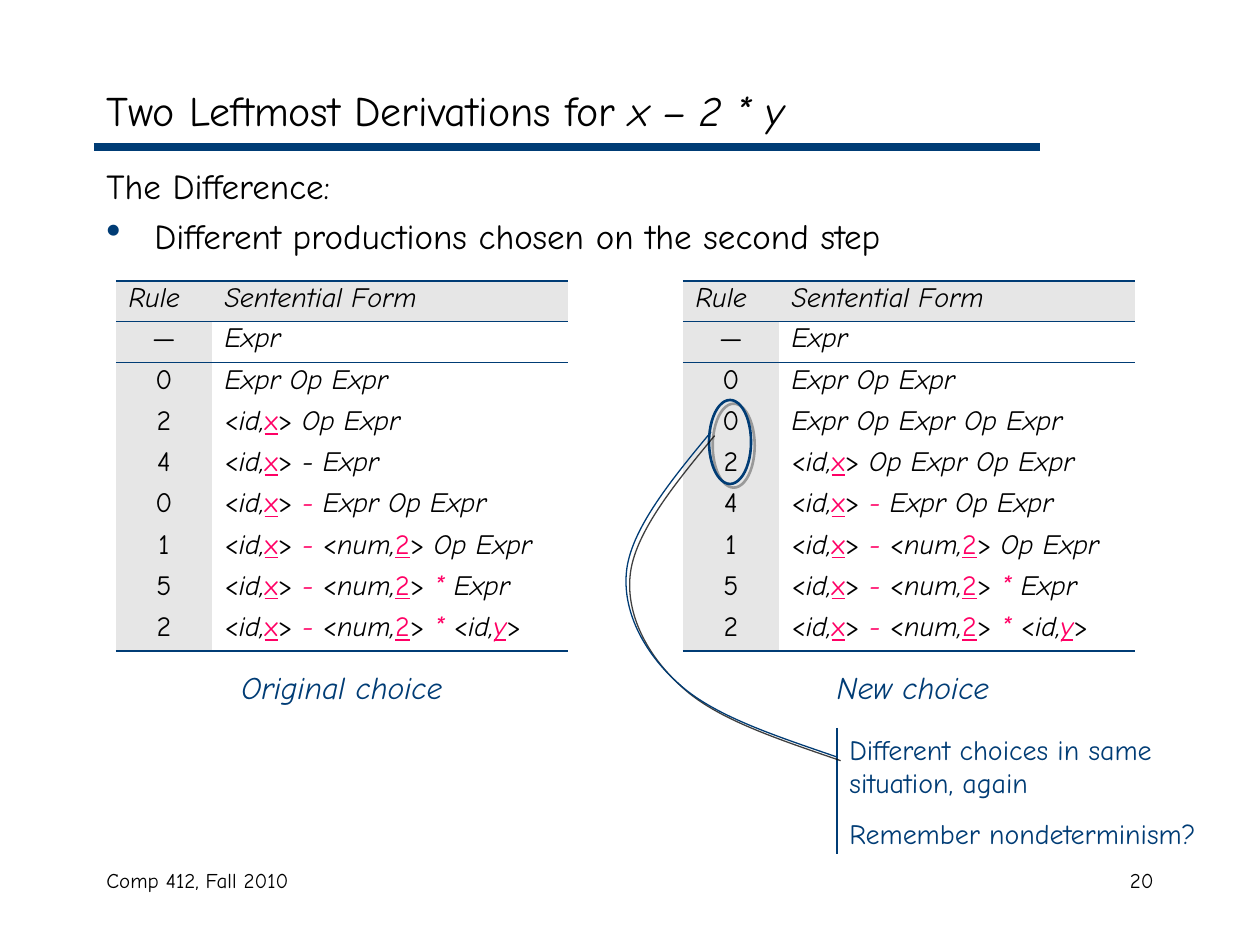
"""Build the slide comparing two leftmost derivations of x - 2 * y."""
import lxml.etree
import pptx
import pptx.dml.color
import pptx.enum.shapes
import pptx.enum.text
import pptx.oxml.ns
import pptx.util

FONT = "Comic Neue"
NAVY = pptx.dml.color.RGBColor(0x00, 0x3C, 0x75)
BLACK = pptx.dml.color.RGBColor(0x00, 0x00, 0x00)
RED = pptx.dml.color.RGBColor(0xFF, 0x00, 0x65)
PALE = pptx.dml.color.RGBColor(0xE6, 0xE6, 0xE6)
GRAY = pptx.dml.color.RGBColor(0x80, 0x80, 0x80)
LEFT, CENTER, RIGHT = (pptx.enum.text.PP_ALIGN.LEFT, pptx.enum.text.PP_ALIGN.CENTER,
                       pptx.enum.text.PP_ALIGN.RIGHT)
NO_TABLE_STYLE = "{2D5ABB26-0587-4C30-8999-92F81FD0307C}"

TITLE = ("Two Leftmost Derivations for ", "x – 2 * y")
DIFFERENCE = ["The Difference:", "Different productions chosen on the second step"]
HEADER = ("Rule", "Sentential Form")
ID_X = "<|id,|x"
NUM_2 = "<|num,|2"
X_MINUS_2 = f"{ID_X}|> |- |{NUM_2}"
START = [("—", "Expr"), ("0", "Expr Op Expr")]
ENDING = [
    ("1", f"{X_MINUS_2}|>| Op Expr"),
    ("5", f"{X_MINUS_2}|> |*| Expr"),
    ("2", f"{X_MINUS_2}|> |* |<|id,|y|>"),
]
X_MINUS_EXPR = f"{ID_X}|> |-| Expr Op Expr"
DERIVATIONS = [
    (116, 132, "Original choice", START + [
        ("2", f"{ID_X}|>| Op Expr"),
        ("4", f"{ID_X}|>| - Expr"),
        ("0", X_MINUS_EXPR)] + ENDING),
    (683, 703, "New choice", START + [
        ("0", "Expr Op Expr Op Expr"),
        ("2", f"{ID_X}|>| Op Expr Op Expr"),
        ("4", X_MINUS_EXPR)] + ENDING),
]
CALLOUT = ["Different choices in same situation, again", "Remember nondeterminism?"]
CURVE = [(837, 757), (776, 736), (714, 716), (679, 684), (644, 653), (621, 610),
         (627, 568), (633, 527), (672, 479), (711, 432)]
FOOTERS = [("Comp 412, Fall 2010", (94, 861, 400, 63), LEFT),
           ("20", (903, 861, 263, 63), RIGHT)]

TABLE_TOP, COLUMN_WIDTHS, HEADER_HEIGHT, BODY_HEIGHT = 281, (96, 356), 40, 330


def px(length):
    return round(length * 914400 / 126)


def add_xml(parent, tag, **attributes):
    return lxml.etree.SubElement(parent, pptx.oxml.ns.qn(tag), attributes)


def style(font, size, color, italic=False, underline=False):
    font.name = FONT
    font.size = pptx.util.Pt(size)
    font.color.rgb = color
    font.italic = italic
    font.underline = underline


def add_text(container, lines, box, size, color=BLACK, align=LEFT, italic=False, gap=0):
    frame = container.add_textbox(*map(px, box)).text_frame
    frame.word_wrap = True
    frame.text = "\n".join(lines)
    for index, paragraph in enumerate(frame.paragraphs):
        paragraph.alignment = align
        if index:
            paragraph.space_before = pptx.util.Pt(gap)
        for run in paragraph.runs:
            style(run.font, size, color, italic)
    return frame


def add_line(container, start, end, width):
    line = container.add_connector(pptx.enum.shapes.MSO_CONNECTOR.STRAIGHT,
                                   *map(px, start + end))
    line.line.color.rgb = NAVY
    line.line.width = pptx.util.Pt(width)
    add_xml(line._element.spPr, "a:effectLst")


def outline_with_shadow(shape, width, shadow_color):
    shape.fill.background()
    shape.line.color.rgb = NAVY
    shape.line.width = pptx.util.Pt(width)
    shape.shadow.inherit = False
    effects = shape._element.spPr.find(pptx.oxml.ns.qn("a:effectLst"))
    shadow = add_xml(effects, "a:outerShdw", blurRad="0", dist="38100", dir="2700000",
                     algn="ctr", rotWithShape="0")
    add_xml(add_xml(shadow, "a:srgbClr", val=str(shadow_color)), "a:alpha", val="75000")


def add_border(cell, side, width):
    border = add_xml(cell._tc.get_or_add_tcPr(), side, w=str(pptx.util.Pt(width)))
    add_xml(add_xml(border, "a:solidFill"), "a:srgbClr", val=str(NAVY))


def fill_form(paragraph, form):
    for piece in form.split("|"):
        symbol = piece.strip()
        run = paragraph.add_run()
        run.text = piece
        terminal = symbol in ("x", "2", "y")
        style(run.font, 16, RED if terminal or symbol in ("-", "*") else BLACK,
              italic=symbol not in ("<", ">", "x", "2"), underline=terminal)


def add_derivation(shapes, left, steps):
    rows = [HEADER] + steps
    last = len(steps)
    table = shapes.add_table(len(rows), 2, px(left), px(TABLE_TOP), px(sum(COLUMN_WIDTHS)),
                             px(HEADER_HEIGHT + BODY_HEIGHT)).table
    table.first_row = table.horz_banding = False
    table._tbl.tblPr.find(pptx.oxml.ns.qn("a:tableStyleId")).text = NO_TABLE_STYLE
    for column, width in zip(table.columns, COLUMN_WIDTHS):
        column.width = px(width)
    for row_index, row in enumerate(rows):
        table.rows[row_index].height = px(BODY_HEIGHT / last if row_index else HEADER_HEIGHT)
        for column_index, content in enumerate(row):
            cell = table.cell(row_index, column_index)
            if row_index < 2:
                add_border(cell, "a:lnT", 0.45 if row_index else 1.08)
            if row_index in (0, last):
                add_border(cell, "a:lnB", 1.08 if row_index else 0.45)
            if row_index == 0 or column_index == 0:
                cell.fill.solid()
                cell.fill.fore_color.rgb = PALE
            else:
                cell.fill.background()
            paragraph = cell.text_frame.paragraphs[0]
            paragraph.line_spacing = 0.8
            if row_index and column_index == 0:
                paragraph.alignment = CENTER
                paragraph.text = content
                style(paragraph.runs[0].font, 16, BLACK)
            else:
                fill_form(paragraph, content)


def add_curve(container, points):
    builder = container.build_freeform(px(points[0][0]), px(points[0][1]))
    builder.add_line_segments([(px(x), px(y)) for x, y in points[1:]], close=False)
    curve = builder.convert_to_shape()
    outline = next(curve._element.iter(pptx.oxml.ns.qn("a:path")))
    segments = outline.findall(pptx.oxml.ns.qn("a:lnTo"))
    for first in range(0, len(segments), 3):
        bezier = add_xml(outline, "a:cubicBezTo")
        for segment in segments[first:first + 3]:
            bezier.append(segment[0])
            outline.remove(segment)
    outline_with_shadow(curve, 0.75, BLACK)


def main():
    deck = pptx.Presentation()
    deck.slide_width, deck.slide_height = px(1260), px(945)
    slide = deck.slides.add_slide(deck.slide_layouts[5])
    shapes = slide.shapes

    title = shapes.title
    title.left, title.top, title.width, title.height = map(px, (94, 73, 1071, 73))
    title.text_frame.vertical_anchor = pptx.enum.text.MSO_ANCHOR.MIDDLE
    heading = title.text_frame.paragraphs[0]
    heading.alignment = LEFT
    for part, italic in zip(TITLE, (False, True)):
        run = heading.add_run()
        run.text = part
        style(run.font, 24, BLACK, italic)
    add_line(shapes, (94, 147), (1040, 147), 4.5)

    for text, box, align in FOOTERS:
        add_text(shapes, [text], box, 12, align=align)

    difference = add_text(shapes, DIFFERENCE, (94, 158, 1071, 110), 20, gap=5)
    bullet = difference.paragraphs[1]._p.get_or_add_pPr()
    bullet.set("marL", str(px(48)))
    bullet.set("indent", str(px(-48)))
    add_xml(add_xml(bullet, "a:buClr"), "a:srgbClr", val=str(NAVY))
    add_xml(bullet, "a:buSzPct", val="120000")
    add_xml(bullet, "a:buChar", char="•")

    for table_left, caption_left, caption, steps in DERIVATIONS:
        add_derivation(shapes, table_left, steps)
        add_text(shapes, [caption], (caption_left, 662, 420, 50), 18, NAVY, CENTER, True)

    callout = shapes.add_group_shape().shapes
    ring = callout.add_shape(pptx.enum.shapes.MSO_SHAPE.OVAL, *map(px, (709, 400, 42, 84)))
    outline_with_shadow(ring, 1.5, GRAY)
    add_text(callout, CALLOUT, (837, 726, 400, 131), 16, NAVY, gap=10)
    add_line(callout, (837, 728), (837, 854), 1.5)
    add_curve(callout, CURVE)

    deck.save("out.pptx")


if __name__ == "__main__":
    main()
